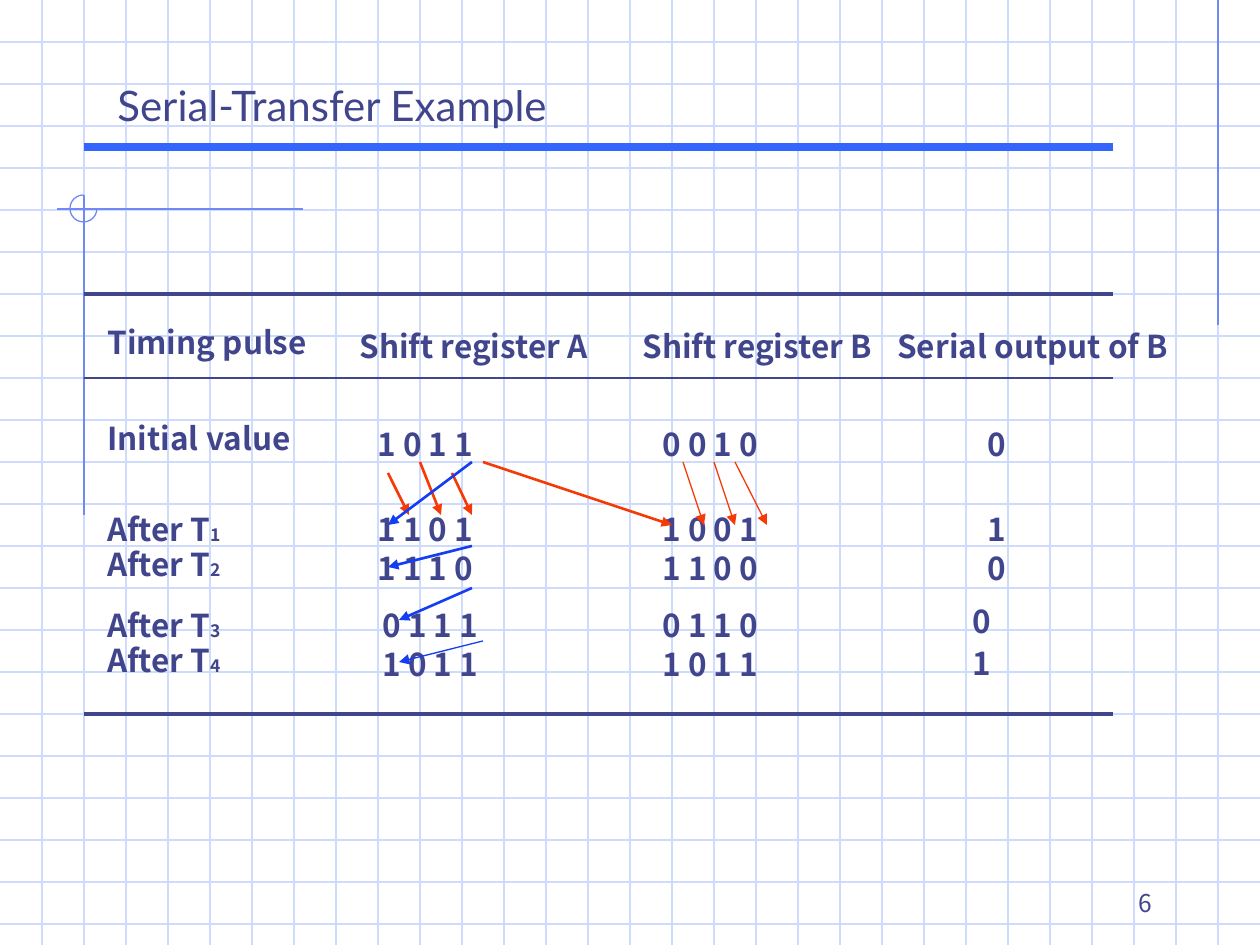
"""Build the Serial-Transfer Example slide."""
from dataclasses import dataclass

from lxml.etree import SubElement
from pptx import Presentation
from pptx.dml.color import RGBColor
from pptx.enum.shapes import MSO_CONNECTOR as Connector, MSO_SHAPE as Preset
from pptx.enum.text import MSO_ANCHOR as Anchor, PP_ALIGN as Align
from pptx.oxml.ns import qn
from pptx.slide import Slide
from pptx.util import Pt

EMU_PER_PX = 914400 / 126
WIDTH, HEIGHT, GRID = 1260, 945, 42


@dataclass(frozen=True)
class Theme:
    ink: str = "40458C"
    grid: str = "CFDBFD"
    ornament: str = "6F89F7"
    accent: str = "3366FF"
    shift: str = "F63906"
    feedback: str = "143EF2"
    heading_font: str = "Lato"
    body_font: str = "Noto Sans CJK KR"
    heading: int = 24
    body: int = 18
    page: int = 14
    subscript: int = 10
    line_spacing: float = 0.9


@dataclass(frozen=True)
class Stroke:
    x1: int
    y1: int
    x2: int
    y2: int
    color: str
    weight: float = 0.75
    arrow: bool = False


@dataclass(frozen=True)
class Run:
    text: str
    size: int
    bold: bool = True
    font: str = Theme.body_font


@dataclass(frozen=True)
class Block:
    x: int
    y: int
    width: int
    height: int
    lines: tuple[tuple[Run, ...], ...]
    gap: float = 0
    spacing: float = Theme.line_spacing
    align: Align = Align.LEFT
    anchor: Anchor = Anchor.TOP


def px(length: int) -> int:
    return round(length * EMU_PER_PX)


def draw_stroke(slide: Slide, stroke: Stroke) -> None:
    line = slide.shapes.add_connector(
        Connector.STRAIGHT, px(stroke.x1), px(stroke.y1), px(stroke.x2), px(stroke.y2))
    line.line.color.rgb = RGBColor.from_string(stroke.color)
    line.line.width = Pt(stroke.weight)
    properties = line._element.spPr
    if stroke.arrow:
        SubElement(properties.find(qn("a:ln")), qn("a:tailEnd"), type="triangle")
    SubElement(properties, qn("a:effectLst"))


def draw_block(slide: Slide, block: Block) -> None:
    frame = slide.shapes.add_textbox(
        px(block.x), px(block.y), px(block.width), px(block.height)).text_frame
    frame.word_wrap = True
    frame.vertical_anchor = block.anchor
    for index, runs in enumerate(block.lines):
        paragraph = frame.add_paragraph() if index else frame.paragraphs[0]
        paragraph.alignment = block.align
        paragraph.line_spacing = block.spacing
        if index:
            paragraph.space_before = Pt(block.gap)
        for part in runs:
            run = paragraph.add_run()
            run.text = part.text
            run.font.size = Pt(part.size)
            run.font.bold = part.bold
            run.font.name = part.font
            run.font.color.rgb = RGBColor.from_string(Theme.ink)


def draw_ornament(slide: Slide) -> None:
    arc = slide.shapes.add_shape(Preset.ARC, px(70), px(195), px(27), px(27))
    arc.adjustments[0] = 0
    arc.adjustments[1] = 162
    arc.shadow.inherit = False
    arc.fill.background()
    arc.line.color.rgb = RGBColor.from_string(Theme.ornament)
    arc.line.width = Pt(0.75)


def values(x: int, y: int, *texts: str, width: int = 271, gap: float = 2.8) -> Block:
    lines = tuple((Run(text, Theme.body),) for text in texts)
    return Block(x, y, width, 55 * len(texts), lines, gap)


def pulses(y: int, *numbers: str) -> Block:
    lines = tuple((Run("After T", Theme.body), Run(number, Theme.subscript))
                  for number in numbers)
    return Block(95, y, 271, 110, lines, 0.5)


BACKDROP = (
    *(Stroke(0, y, WIDTH, y, Theme.grid) for y in range(GRID, HEIGHT, GRID)),
    *(Stroke(x, 0, x, HEIGHT, Theme.grid) for x in range(GRID, WIDTH, GRID)),
    Stroke(1218, 0, 1218, 325, Theme.ornament),
    Stroke(303, 209, 57, 209, Theme.ornament),
    Stroke(84, 195, 84, 515, Theme.ornament),
    Stroke(84, 147, 1113, 147, Theme.accent, 4.5),
)
RULES = tuple(Stroke(84, y, 1113, y, Theme.ink, weight)
              for y, weight in ((294, 2.25), (378, 1), (714, 2.25)))
SHIFTS = tuple(Stroke(*ends, Theme.shift, weight, True) for *ends, weight in (
    (388, 473, 409, 515, 1.5),
    (420, 462, 441, 515, 1.5),
    (452, 473, 472, 515, 1.5),
    (483, 462, 672, 525, 1.5),
    (683, 462, 704, 525, 0.75),
    (714, 462, 735, 525, 0.75),
    (735, 462, 767, 525, 0.75),
))
FEEDBACKS = tuple(Stroke(*ends, Theme.feedback, weight, True) for *ends, weight in (
    (472, 462, 388, 525, 1.5),
    (472, 546, 388, 567, 1.5),
    (472, 588, 399, 620, 1.5),
    (483, 641, 399, 662, 0.75),
))
BLOCKS = (
    Block(105, 73, 546, 63,
          ((Run("Serial-Transfer Example", Theme.heading, False, Theme.heading_font),),),
          spacing=1),
    values(95, 321, "Timing pulse"),
    values(347, 325, "Shift register A"),
    values(630, 325, "Shift register B"),
    values(885, 325, "Serial output of B", width=354),
    values(95, 417, "Initial value"),
    values(365, 423, "1 0 1 1"),
    values(650, 423, "0 0 1 0"),
    values(975, 423, "0"),
    pulses(508, "1", "2"),
    values(365, 508, "1 1 0 1", "1 1 1 0"),
    values(650, 508, "1 0 0 1", "1 1 0 0"),
    values(975, 508, "1", "0"),
    pulses(604, "3", "4"),
    values(370, 604, "0 1 1 1", "1 0 1 1"),
    values(650, 604, "0 1 1 0", "1 0 1 1"),
    values(960, 600, "0", "1", gap=4.5),
    Block(903, 861, 262, 63, ((Run("6", Theme.page, False),),),
          spacing=1, align=Align.RIGHT, anchor=Anchor.BOTTOM),
)


def main() -> None:
    deck = Presentation()
    deck.slide_width, deck.slide_height = px(WIDTH), px(HEIGHT)
    slide = deck.slides.add_slide(deck.slide_layouts[6])
    for stroke in BACKDROP:
        draw_stroke(slide, stroke)
    draw_ornament(slide)
    for block in BLOCKS:
        draw_block(slide, block)
    for stroke in RULES + SHIFTS + FEEDBACKS:
        draw_stroke(slide, stroke)
    deck.save("out.pptx")


if __name__ == "__main__":
    main()
